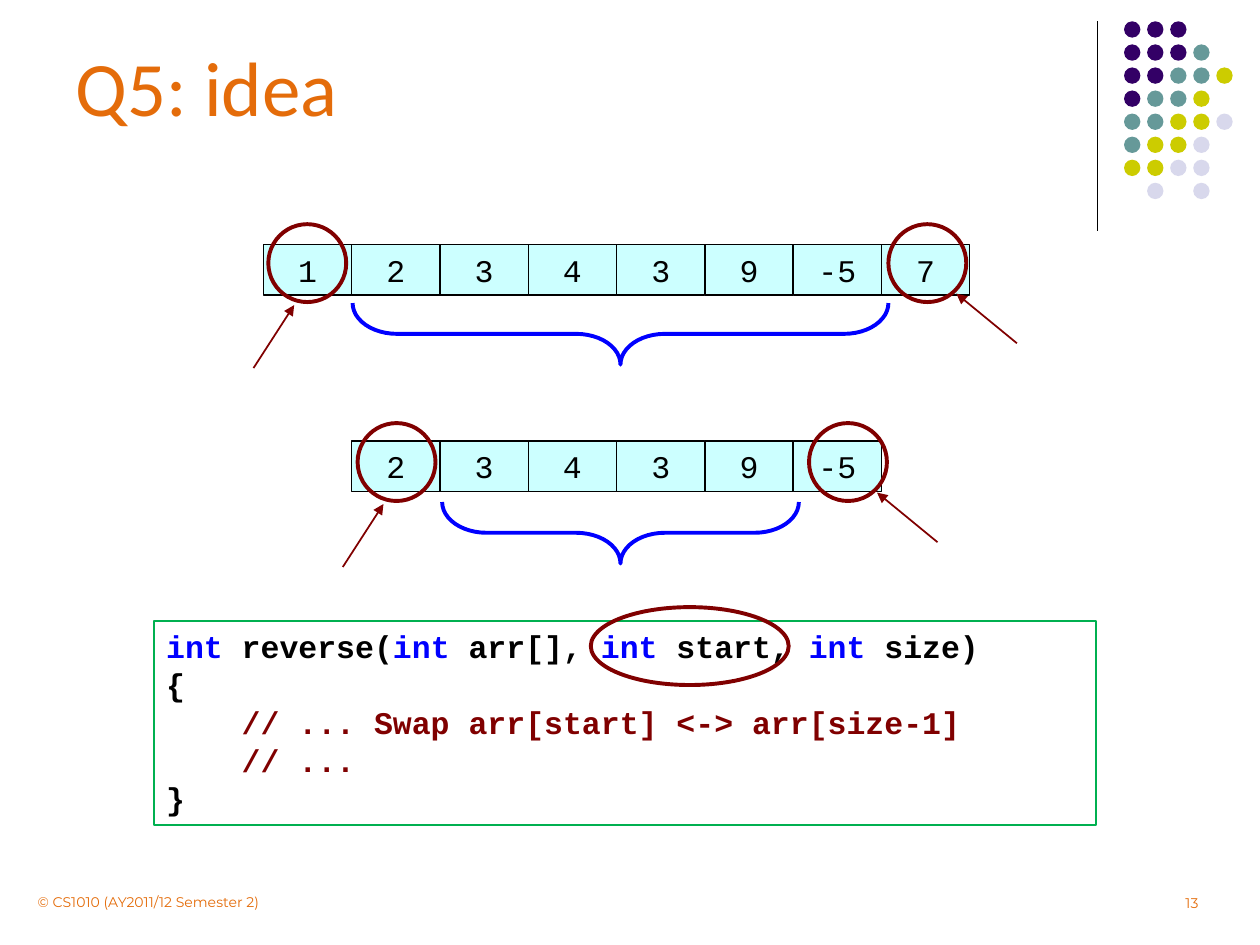
from dataclasses import dataclass

from lxml.etree import SubElement
from pptx import Presentation
from pptx.dml.color import RGBColor
from pptx.enum.shapes import MSO_CONNECTOR, MSO_SHAPE
from pptx.enum.text import MSO_ANCHOR, MSO_AUTO_SIZE, PP_ALIGN
from pptx.oxml.ns import qn
from pptx.util import Cm, Pt


@dataclass(frozen=True)
class Theme:
    orange: str = "E46C0A"
    black: str = "000000"
    white: str = "FFFFFF"
    blue: str = "0000FF"
    maroon: str = "800000"
    green: str = "00B050"
    cell: str = "CCFFFF"
    title_size: float = 44
    code_size: float = 18
    footer_size: float = 8
    code_leading: float = 21.7
    thin: float = 0.75
    medium: float = 1
    thick: float = 2.25


THEME = Theme()
TITLE_FONT = {"name": "Calibri", "size": Pt(THEME.title_size), "bold": False}
FOOTER_FONT = {"name": "Montserrat", "size": Pt(THEME.footer_size)}
CELL_FONT = {"name": "Courier New", "size": Pt(THEME.code_size)}
CODE_FONT = {**CELL_FONT, "bold": True}

DOT_COLORS = {"p": "330066", "t": "669999", "y": "CCCC00", "l": "D8D8EC"}
DOT_ROWS = ["ppp", "pppt", "pptty", "ptty", "ttyyl", "tyyl", "yyll", " l l"]
DOT_PITCH = 0.465

CELL_WIDTH, CELL_HEIGHT = 1.78, 1.02
CIRCLE_SIZE = 1.57
# Arrow start and end, measured from the corner of its circle
ARROWS = {
    "left": ((-0.30, 2.90), (0.52, 1.63)),
    "right": ((2.59, 2.40), (1.37, 1.40)),
}

CODE = [
    [("int", THEME.blue), (" reverse(", THEME.black), ("int", THEME.blue),
     (" arr[], ", THEME.black), ("int", THEME.blue), (" start, ", THEME.black),
     ("int", THEME.blue), (" size)", THEME.black)],
    [("{", THEME.black)],
    [("    // ... Swap arr[start] <-> arr[size-1]", THEME.maroon)],
    [("    // ...", THEME.maroon)],
    [("}", THEME.black)],
]


def apply_format(target, values):
    for name, value in values.items():
        setattr(target, name, value)


def write_run(paragraph, text, font, color):
    run = paragraph.add_run()
    run.text = text
    apply_format(run.font, font)
    run.font.color.rgb = RGBColor.from_string(color)


def add_shape(slide, kind, box, fill=None, line=None, width=THEME.thin):
    shape = slide.shapes.add_shape(kind, *map(Cm, box))
    shape.shadow.inherit = False
    if fill:
        shape.fill.solid()
        shape.fill.fore_color.rgb = RGBColor.from_string(fill)
    else:
        shape.fill.background()
    if line:
        shape.line.color.rgb = RGBColor.from_string(line)
        shape.line.width = Pt(width)
    else:
        shape.line.fill.background()
    return shape


def add_line(slide, start, end, color, width, arrow=False):
    connector = slide.shapes.add_connector(
        MSO_CONNECTOR.STRAIGHT, *map(Cm, (*start, *end)))
    connector.line.color.rgb = RGBColor.from_string(color)
    connector.line.width = Pt(width)
    if arrow:
        SubElement(connector.line._get_or_add_ln(), qn("a:tailEnd"), type="triangle")
    SubElement(connector._element.spPr, qn("a:effectLst"))


def add_title(slide, text):
    title = slide.shapes.title
    apply_format(title, {"left": Cm(1.27), "top": Cm(0.64),
                         "width": Cm(22.86), "height": Cm(2.18)})
    apply_format(title.text_frame, {"auto_size": MSO_AUTO_SIZE.NONE,
                                    "vertical_anchor": MSO_ANCHOR.MIDDLE})
    paragraph = title.text_frame.paragraphs[0]
    paragraph.alignment = PP_ALIGN.LEFT
    write_run(paragraph, text, TITLE_FONT, THEME.orange)


def add_footer(slide, text, box, alignment, frame_format):
    frame = slide.shapes.add_textbox(*map(Cm, box)).text_frame
    apply_format(frame, {"word_wrap": True, **frame_format})
    paragraph = frame.paragraphs[0]
    paragraph.alignment = alignment
    write_run(paragraph, text, FOOTER_FONT, THEME.orange)


def add_dots(slide, left, top):
    for row, pattern in enumerate(DOT_ROWS):
        for column, key in enumerate(pattern):
            if key in DOT_COLORS:
                box = (left + column * DOT_PITCH, top + row * DOT_PITCH, 0.33, 0.33)
                add_shape(slide, MSO_SHAPE.OVAL, box, DOT_COLORS[key])


def add_array(slide, values, left, top):
    for index, value in enumerate(values):
        box = (left + index * CELL_WIDTH, top, CELL_WIDTH, CELL_HEIGHT)
        cell = add_shape(slide, MSO_SHAPE.RECTANGLE, box, THEME.cell, THEME.black)
        paragraph = cell.text_frame.paragraphs[0]
        apply_format(paragraph, {"alignment": PP_ALIGN.CENTER,
                                 "line_spacing": Pt(THEME.code_leading)})
        write_run(paragraph, str(value), CELL_FONT, THEME.black)


def add_pointer(slide, left, top, side):
    start, end = [(left + x, top + y) for x, y in ARROWS[side]]
    add_line(slide, start, end, THEME.maroon, THEME.medium, arrow=True)
    add_shape(slide, MSO_SHAPE.OVAL, (left, top, CIRCLE_SIZE, CIRCLE_SIZE),
              line=THEME.maroon, width=THEME.thick)


def add_brace(slide, center_x, center_y, length):
    depth = 1.24
    box = (center_x - depth / 2, center_y - length / 2, depth, length)
    brace = add_shape(slide, MSO_SHAPE.LEFT_BRACE, box,
                      line=THEME.blue, width=THEME.thick)
    brace.rotation = 270
    brace.adjustments[0] = 0.72


def add_code(slide, box):
    shape = add_shape(slide, MSO_SHAPE.RECTANGLE, box,
                      THEME.white, THEME.green, THEME.medium)
    frame = shape.text_frame
    frame.vertical_anchor = MSO_ANCHOR.TOP
    for index, code_line in enumerate(CODE):
        paragraph = frame.add_paragraph() if index else frame.paragraphs[0]
        apply_format(paragraph, {"alignment": PP_ALIGN.LEFT,
                                 "line_spacing": Pt(THEME.code_leading)})
        for text, color in code_line:
            write_run(paragraph, text, CODE_FONT, color)


def main():
    presentation = Presentation()
    apply_format(presentation, {"slide_width": Cm(25.4), "slide_height": Cm(19.05)})
    slide = presentation.slides.add_slide(presentation.slide_layouts[5])

    # Corner decoration and title
    add_line(slide, (22.12, 0.43), (22.12, 4.65), THEME.black, THEME.thin)
    add_dots(slide, 22.66, 0.43)
    add_title(slide, "Q5: idea")

    # Whole array, then the part left after the first swap
    values = [1, 2, 3, 4, 3, 9, -5, 7]
    array_left = 5.31
    add_array(slide, values, array_left, 4.93)
    add_array(slide, values[1:-1], array_left + CELL_WIDTH, 8.89)

    # Elements to swap and the remaining range
    for top, first, last, brace_length in ((4.52, 5.41, 17.91, 10.8),
                                           (8.53, 7.21, 16.31, 7.19)):
        add_pointer(slide, first, top, "left")
        add_pointer(slide, last, top, "right")
        add_brace(slide, 12.51, top + 2.21, brace_length)

    # Code with the new parameter circled
    add_code(slide, (3.1, 12.52, 19, 4.11))
    add_shape(slide, MSO_SHAPE.OVAL, (11.91, 12.24, 3.99, CIRCLE_SIZE),
              line=THEME.maroon, width=THEME.thick)

    # Footer
    add_footer(slide, "© CS1010 (AY2011/12 Semester 2)", (0.51, 17.88, 6.99, 0.61),
               PP_ALIGN.LEFT, {})
    no_margins = dict.fromkeys(
        ("margin_left", "margin_top", "margin_right", "margin_bottom"), 0)
    add_footer(slide, "13", (22.86, 17.86, 1.3, 0.51), PP_ALIGN.RIGHT,
               {"vertical_anchor": MSO_ANCHOR.BOTTOM, **no_margins})

    presentation.save("out.pptx")


if __name__ == "__main__":
    main()
